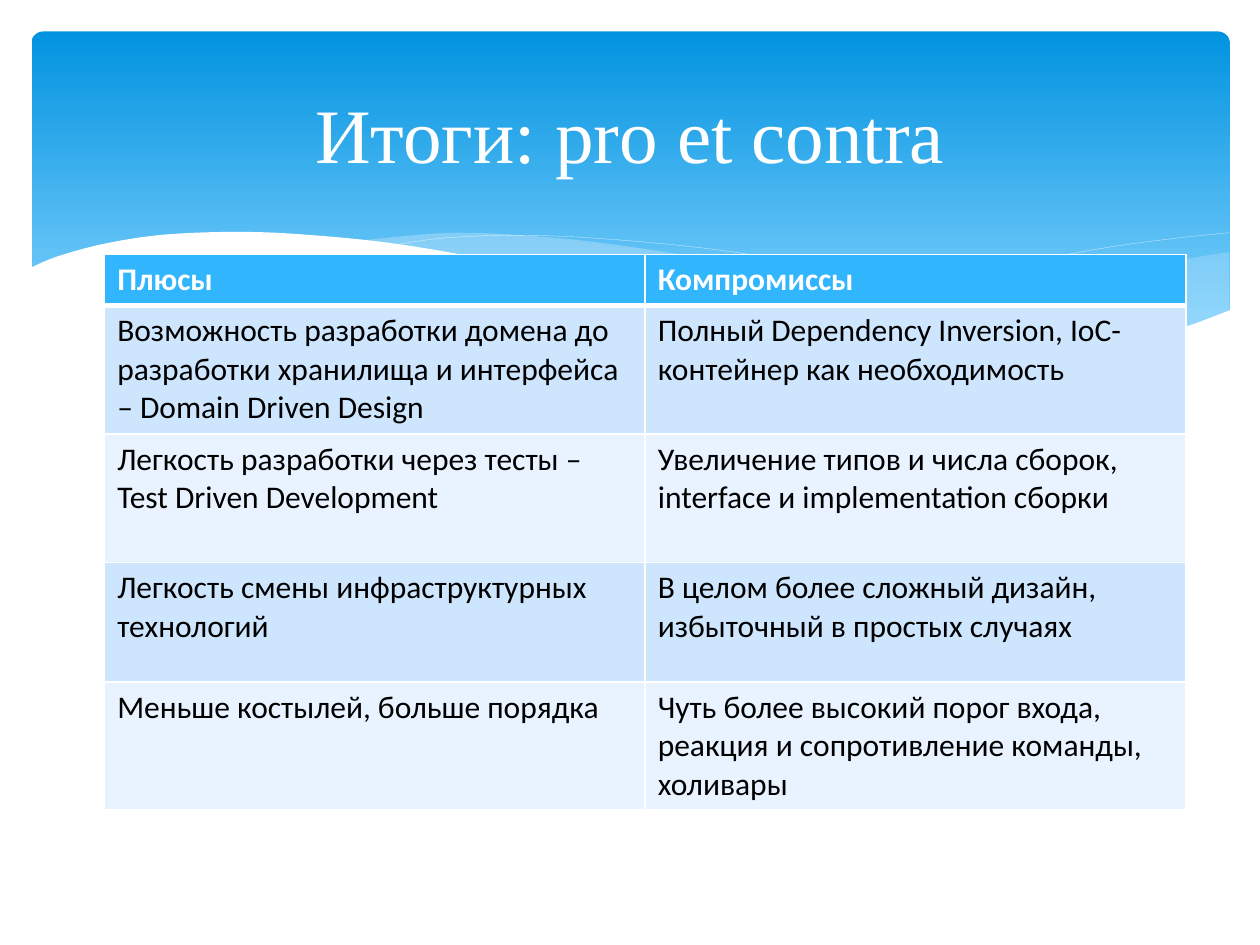
from dataclasses import dataclass
from typing import Optional

from lxml.etree import SubElement
from pptx import Presentation
from pptx.dml.color import RGBColor
from pptx.enum.shapes import MSO_SHAPE as Preset
from pptx.enum.text import MSO_ANCHOR as Anchor, PP_ALIGN as Align
from pptx.oxml.ns import qn
from pptx.util import Pt

Point = tuple[float, float]
WHITE = "FFFFFF"
HEADER_FILL = "31B6FD"
BAND_FILLS = ("CEE5FE", "E8F3FF")
ROW_HEIGHTS = (29, 73.4, 73.4, 68.4, 72)
ROWS = (
    ("Плюсы", "Компромиссы"),
    ("Возможность разработки домена до разработки хранилища и интерфейса – Domain Driven Design",
     "Полный Dependency Inversion, IoC-контейнер как необходимость"),
    ("Легкость разработки через тесты – Test Driven Development",
     "Увеличение типов и числа сборок, interface и implementation сборки"),
    ("Легкость смены инфраструктурных технологий",
     "В целом более сложный дизайн, избыточный в простых случаях"),
    ("Меньше костылей, больше порядка",
     "Чуть более высокий порог входа, реакция и сопротивление команды, холивары"),
)


@dataclass
class Wave:
    """Smooth edges joined at corners; without a fill it is an open line."""
    edges: list[list[Point]]
    fill: Optional[str] = None
    opacity: int = 100


WAVES = [
    # Right translucent wave
    Wave([[(702.5, 144), (673, 149), (620, 160.5), (561, 174), (508, 185), (476, 191)],
          [(476, 191), (517.5, 196), (562, 199.5), (601, 199.5), (640, 196.5),
           (673, 188.5), (702.5, 178)]], "C6E7FC", 29),
    # Middle translucent wave
    Wave([[(643, 196.5), (580.5, 187), (508, 173), (453, 160), (409.5, 149.5),
           (370, 142.5), (318, 136), (260, 133), (206, 137.5)],
          [(206, 137.5), (246, 143), (291, 151.5), (323, 160), (381.5, 173),
           (456.5, 188), (510.5, 196), (574, 200), (617, 199.5), (643, 196.5)]], "C6E7FC", 40),
    # Thin lines
    Wave([[(222.5, 140.5), (254, 136), (299.5, 134.5), (352, 137), (419, 144),
           (500.5, 158), (572, 173.5), (653, 196)]]),
    Wave([[(441, 185), (500.5, 169), (559, 155.5), (623.5, 143), (665, 137), (702, 133)]]),
    # White wave that cuts off the band
    Wave([[(703.5, 177), (670, 189), (630, 196.5), (583, 199.5), (535.5, 197.5),
           (481, 191), (417, 180), (342, 163), (281.5, 149), (227.5, 139.5),
           (180, 134.5), (139, 132.5), (95, 134), (61, 139), (33, 146.5), (16.5, 153.5)],
          [(16.5, 237), (703.5, 237)]], WHITE),
]


def color(value: str) -> RGBColor:
    return RGBColor.from_string(value)


def smooth(points: list[Point], steps: int = 5) -> list[Point]:
    """Catmull-Rom curve through the points."""
    padded = [points[0], *points, points[-1]]
    curve = [points[0]]
    for a, b, c, d in zip(padded, padded[1:], padded[2:], padded[3:]):
        for step in range(1, steps + 1):
            t = step / steps
            curve.append(tuple(
                (2 * q + (r - p) * t + (2 * p - 5 * q + 4 * r - s) * t ** 2
                 + (3 * q - p - 3 * r + s) * t ** 3) / 2
                for p, q, r, s in zip(a, b, c, d)))
    return curve


def add_wave(slide, wave: Wave) -> None:
    outline = [(Pt(x), Pt(y)) for edge in wave.edges for x, y in smooth(edge)]
    builder = slide.shapes.build_freeform(*outline[0], scale=1.0)
    builder.add_line_segments(outline[1:], close=wave.fill is not None)
    shape = builder.convert_to_shape()
    shape.shadow.inherit = False
    if wave.fill is None:
        shape.fill.background()
        shape.line.color.rgb = color(WHITE)
        shape.line.width = Pt(0.1)
        return
    shape.fill.solid()
    shape.fill.fore_color.rgb = color(wave.fill)
    shape.line.fill.background()
    if wave.opacity < 100:
        fill_color = shape.element.spPr.find(qn("a:solidFill"))[0]
        SubElement(fill_color, qn("a:alpha")).set("val", str(wave.opacity * 1000))


def add_band(slide) -> None:
    band = slide.shapes.add_shape(Preset.ROUNDED_RECTANGLE, Pt(18), Pt(18), Pt(684.7), Pt(194.4))
    band.adjustments[0] = 0.034
    band.shadow.inherit = False
    band.line.fill.background()
    band.fill.gradient()
    band.fill.gradient_angle = 270
    stops = ((0, "0293E0"), (0.9, "83D3FE"))
    for stop, (position, value) in zip(band.fill.gradient_stops, stops):
        stop.position = position
        stop.color.rgb = color(value)


def add_run(paragraph, text: str, font: str, size: float, value: str, bold: bool = False) -> None:
    run = paragraph.add_run()
    run.text = text
    run.font.name = font
    run.font.size = Pt(size)
    run.font.bold = bold
    run.font.color.rgb = color(value)


def set_borders(cell, **widths: float) -> None:
    properties = cell._tc.get_or_add_tcPr()
    for side in "LRTB":
        line = SubElement(properties, qn(f"a:ln{side}"), w=str(Pt(widths.get(side, 1))))
        fill = SubElement(line, qn("a:solidFill"))
        SubElement(fill, qn("a:srgbClr"), val=WHITE)


def add_comparison(slide) -> None:
    frame = slide.shapes.add_table(len(ROWS), 2, Pt(59.8), Pt(145.4), Pt(617.8), Pt(sum(ROW_HEIGHTS)))
    table = frame.table
    for index, (texts, height) in enumerate(zip(ROWS, ROW_HEIGHTS)):
        table.rows[index].height = Pt(height)
        header = index == 0
        # The rule under the header is thicker
        widths = {0: {"B": 3}, 1: {"T": 3}}.get(index, {})
        for column, text in enumerate(texts):
            cell = table.cell(index, column)
            set_borders(cell, **widths)
            cell.fill.solid()
            cell.fill.fore_color.rgb = color(HEADER_FILL if header else BAND_FILLS[(index - 1) % 2])
            add_run(cell.text_frame.paragraphs[0], text, "Calibri", 18,
                    WHITE if header else "000000", header)


def place_title(slide) -> None:
    title = slide.shapes.title
    title.left, title.top, title.width, title.height = Pt(36), Pt(26.6), Pt(648), Pt(98.6)
    title.text_frame.vertical_anchor = Anchor.MIDDLE
    paragraph = title.text_frame.paragraphs[0]
    paragraph.alignment = Align.CENTER
    add_run(paragraph, "Итоги: pro et contra", "Times New Roman", 44, WHITE)
    # Bring the title in front of the band
    title.element.getparent().append(title.element)


def main() -> None:
    presentation = Presentation()
    presentation.slide_width, presentation.slide_height = Pt(720), Pt(540)
    slide = presentation.slides.add_slide(presentation.slide_layouts[5])
    add_band(slide)
    for wave in WAVES:
        add_wave(slide, wave)
    place_title(slide)
    add_comparison(slide)
    presentation.save("out.pptx")


if __name__ == "__main__":
    main()
